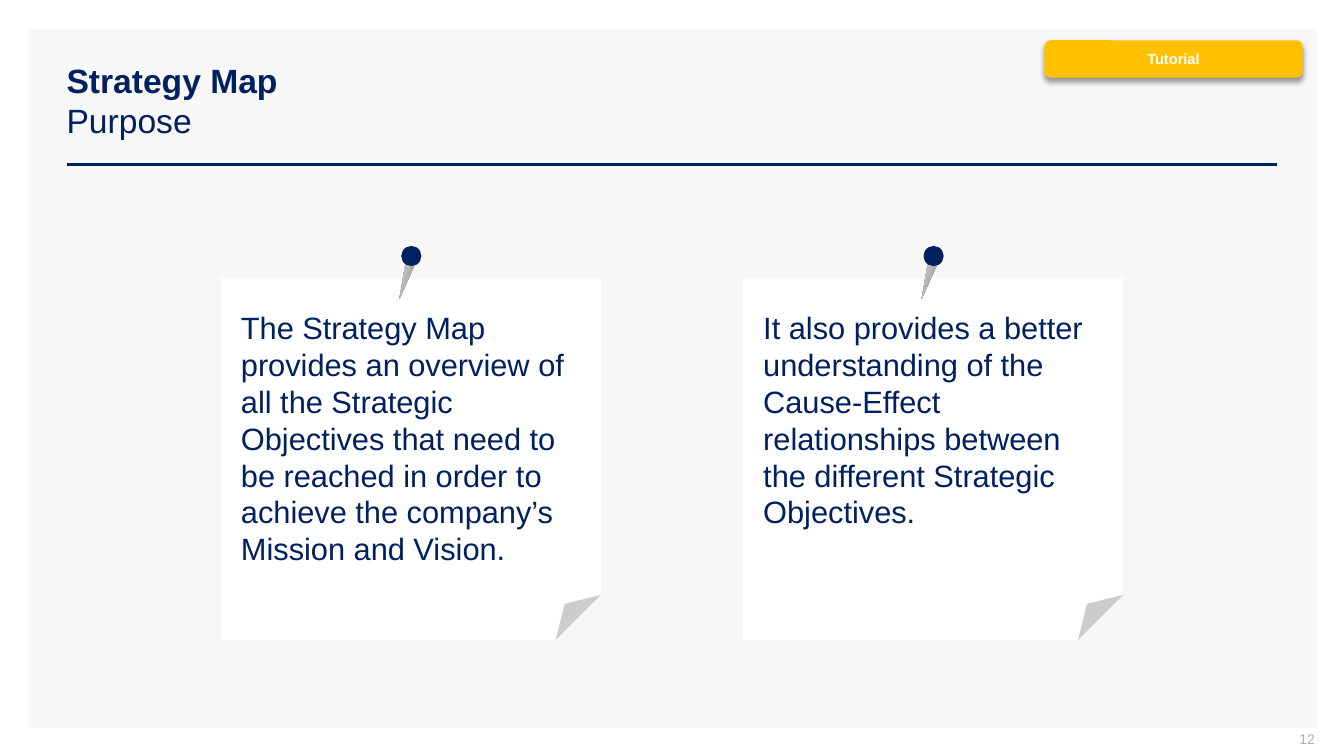
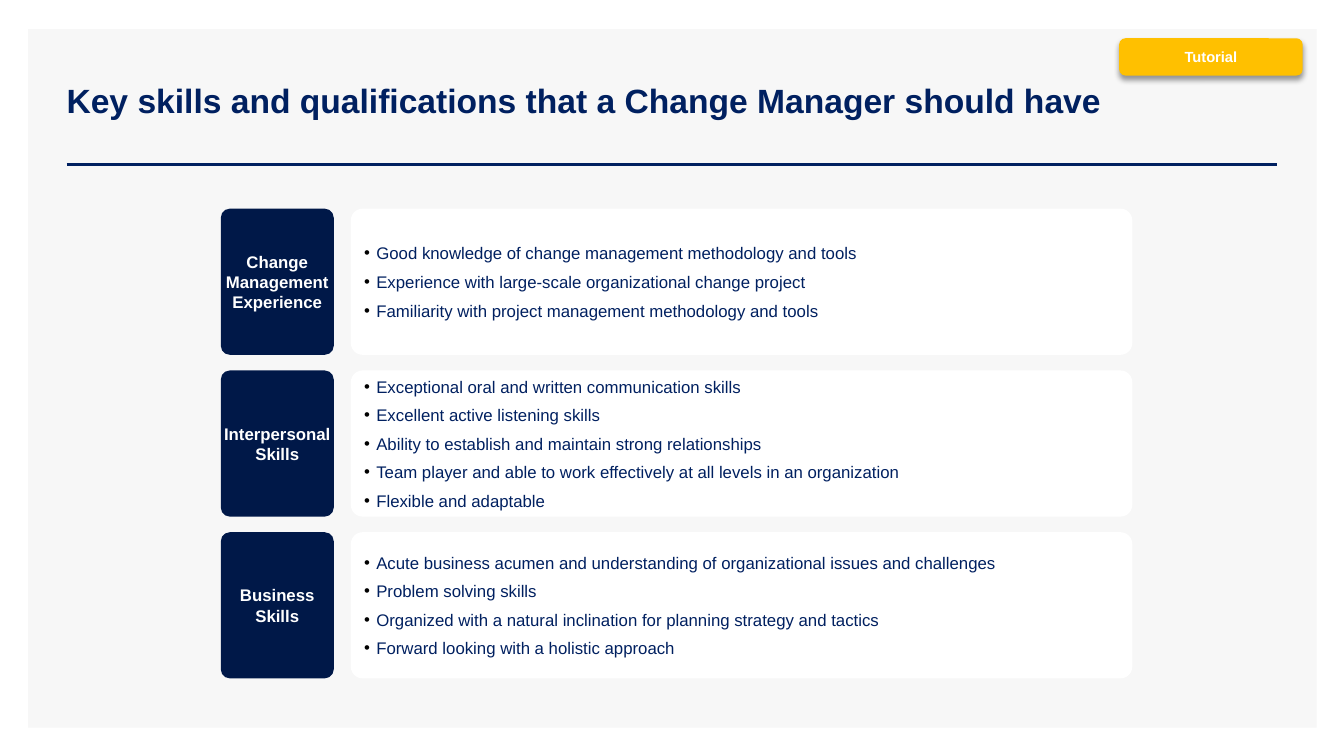
from copy import deepcopy
from lxml import etree
from pptx import Presentation
from pptx.dml.color import RGBColor
from pptx.enum.shapes import MSO_CONNECTOR, MSO_SHAPE
from pptx.enum.text import MSO_ANCHOR, MSO_AUTO_SIZE, PP_ALIGN
from pptx.oxml import parse_xml
from pptx.oxml.ns import nsdecls, qn
from pptx.util import Inches, Pt

COLORS = {
    "navy": "002060",
    "label": "001848",
    "panel": "F7F7F7",
    "white": "FFFFFF",
    "amber": "FFC000",
    "number": "ADAFBB",
    "black": "000000",
    "pin": ("808080", "B7B7B7", "D9D9D9"),
}
FONT = "Arial"


def add_block(shapes, kind, left, top, width, height, color, margins=(0.1, 0.05, 0.1, 0.05)):
    block = shapes.add_shape(kind, Inches(left), Inches(top), Inches(width), Inches(height))
    block.shadow.inherit = False
    block.fill.solid()
    block.fill.fore_color.rgb = RGBColor.from_string(COLORS[color])
    block.line.fill.background()
    frame = block.text_frame
    frame.word_wrap = True
    frame.vertical_anchor = MSO_ANCHOR.MIDDLE
    frame.margin_left, frame.margin_top, frame.margin_right, frame.margin_bottom = map(Inches, margins)
    return block


def add_text(paragraph, text, size, color, bold=False, align=PP_ALIGN.LEFT):
    paragraph.alignment = align
    run = paragraph.add_run()
    run.text = text
    run.font.name = FONT
    run.font.size = Pt(size)
    run.font.bold = bold
    run.font.color.rgb = RGBColor.from_string(COLORS[color])


prs = Presentation()
prs.slide_width, prs.slide_height = Inches(13.33), Inches(7.5)
layout = prs.slide_layouts[5]
purpose = prs.slides.add_slide(layout)
skills = prs.slides.add_slide(layout)

panel = add_block(purpose.shapes, MSO_SHAPE.RECTANGLE, 0.28, 0.29, 12.78, 6.93, "panel")
title_rule = purpose.shapes.add_connector(
    MSO_CONNECTOR.STRAIGHT, Inches(0.66), Inches(1.63), Inches(12.67), Inches(1.63))
title_rule.line.color.rgb = RGBColor.from_string(COLORS["navy"])
title_rule.line.width = Pt(2)
etree.SubElement(title_rule.element.spPr, qn("a:effectLst"))
for position, backdrop in enumerate((panel, title_rule), start=2):
    layout.shapes.element.insert(position, backdrop.element)

headings = [
    (purpose, [("Strategy Map", True), ("Purpose", False)]),
    (skills, [("Key skills and qualifications that a Change Manager should have", True)]),
]
for slide, lines in headings:
    title = slide.shapes.title
    title.left, title.top = Inches(0.56), Inches(0.4)
    title.width, title.height = Inches(12.11), Inches(1.19)
    title.text_frame.auto_size = MSO_AUTO_SIZE.NONE
    title.text_frame.vertical_anchor = MSO_ANCHOR.MIDDLE
    heading = title.text_frame.paragraphs[0]
    for index, (line, bold) in enumerate(lines):
        if index:
            heading.add_line_break()
        add_text(heading, line, 24, "navy", bold)

page_number = purpose.shapes.add_textbox(Inches(10.04), Inches(7.25), Inches(3), Inches(0.21))
number_frame = page_number.text_frame
number_frame.word_wrap = True
number_frame.vertical_anchor = MSO_ANCHOR.MIDDLE
number_frame.margin_top = number_frame.margin_right = 0
add_text(number_frame.paragraphs[0], "12", 10, "number", align=PP_ALIGN.RIGHT)

notes = [
    (2.19, "The Strategy Map provides an overview of all the Strategic Objectives that need "
           "to be reached in order to achieve the company’s Mission and Vision."),
    (7.37, "It also provides a better understanding of the Cause-Effect relationships "
           "between the different Strategic Objectives."),
]
for left, message in notes:
    note = add_block(purpose.shapes, MSO_SHAPE.FOLDED_CORNER, left, 2.76, 3.77, 3.59,
                     "white", (0.2, 0.3, 0.2, 0.1))
    fold = note.element.spPr.find(qn("a:prstGeom")).find(qn("a:avLst"))
    for guide in list(fold):
        fold.remove(guide)
    etree.SubElement(fold, qn("a:gd"), name="adj", fmla="val 12500")
    note.text_frame.vertical_anchor = MSO_ANCHOR.TOP
    note.text_frame.paragraphs[0].space_after = Pt(6)
    add_text(note.text_frame.paragraphs[0], message, 22, "navy")

    pin = purpose.shapes.add_group_shape()
    needle = add_block(pin.shapes, MSO_SHAPE.ISOSCELES_TRIANGLE, left + 1.78, 2.61, 0.09, 0.36, "white")
    needle.rotation = 197
    needle.fill.gradient()
    needle.fill.gradient_angle = 0
    stop_list = needle.element.spPr.find(qn("a:gradFill")).find(qn("a:gsLst"))
    stop_list.insert(1, deepcopy(stop_list[0]))
    for stop, position, shade in zip(needle.fill.gradient_stops, (0, 0.5, 1), COLORS["pin"]):
        stop.position = position
        stop.color.rgb = RGBColor.from_string(shade)
    add_block(pin.shapes, MSO_SHAPE.OVAL, left + 1.79, 2.44, 0.2, 0.2, "navy")

skill_groups = [
    ("Change Management Experience", [
        "Good knowledge of change management methodology and tools",
        "Experience with large-scale organizational change project",
        "Familiarity with project management methodology and tools",
    ]),
    ("Interpersonal Skills", [
        "Exceptional oral and written communication skills",
        "Excellent active listening skills",
        "Ability to establish and maintain strong relationships",
        "Team player and able to work effectively at all levels in an organization",
        "Flexible and adaptable",
    ]),
    ("Business Skills", [
        "Acute business acumen and understanding of organizational issues and challenges",
        "Problem solving skills",
        "Organized with a natural inclination for planning strategy and tactics",
        "Forward looking with a holistic approach",
    ]),
]
for row, (group_name, abilities) in enumerate(skill_groups):
    top = 2.07 + row * 3.21 / 2
    card = add_block(skills.shapes, MSO_SHAPE.ROUNDED_RECTANGLE, 3.48, top, 7.75, 1.45, "white")
    label = add_block(skills.shapes, MSO_SHAPE.ROUNDED_RECTANGLE, 2.19, top, 1.12, 1.45,
                      "label", (0, 0.05, 0, 0.05))
    card.adjustments[0] = label.adjustments[0] = 0.08
    add_text(label.text_frame.paragraphs[0], group_name, 12, "white", True, PP_ALIGN.CENTER)
    for index, ability in enumerate(abilities):
        if index:
            item = card.text_frame.add_paragraph()
            item.space_before = Pt(3)
        else:
            item = card.text_frame.paragraphs[0]
        item.space_after = Pt(3)
        properties = item._p.get_or_add_pPr()
        properties.set("marL", str(Inches(0.12)))
        properties.set("indent", str(-Inches(0.12)))
        bullet_color = etree.SubElement(properties, qn("a:buClr"))
        etree.SubElement(bullet_color, qn("a:srgbClr"), val=COLORS["black"])
        etree.SubElement(properties, qn("a:buFont"), typeface=FONT)
        etree.SubElement(properties, qn("a:buChar"), char="•")
        add_text(item, ability, 12, "navy")

for slide, left, top, width in [(purpose, 10.36, 0.4, 2.56), (skills, 11.1, 0.38, 1.82)]:
    tag = add_block(slide.shapes, MSO_SHAPE.ROUNDED_RECTANGLE, left, top, width, 0.37, "amber")
    add_text(tag.text_frame.paragraphs[0], "Tutorial", 10.5, "white", True, PP_ALIGN.CENTER)
    tag.element.spPr.find(qn("a:effectLst")).append(parse_xml(
        f'<a:outerShdw {nsdecls("a")} blurRad="{Pt(4)}" dist="{Pt(3)}" dir="5400000" algn="t" rotWithShape="0">'
        f'<a:srgbClr val="{COLORS["black"]}"><a:alpha val="40000"/></a:srgbClr></a:outerShdw>'))

prs.save("out.pptx")
